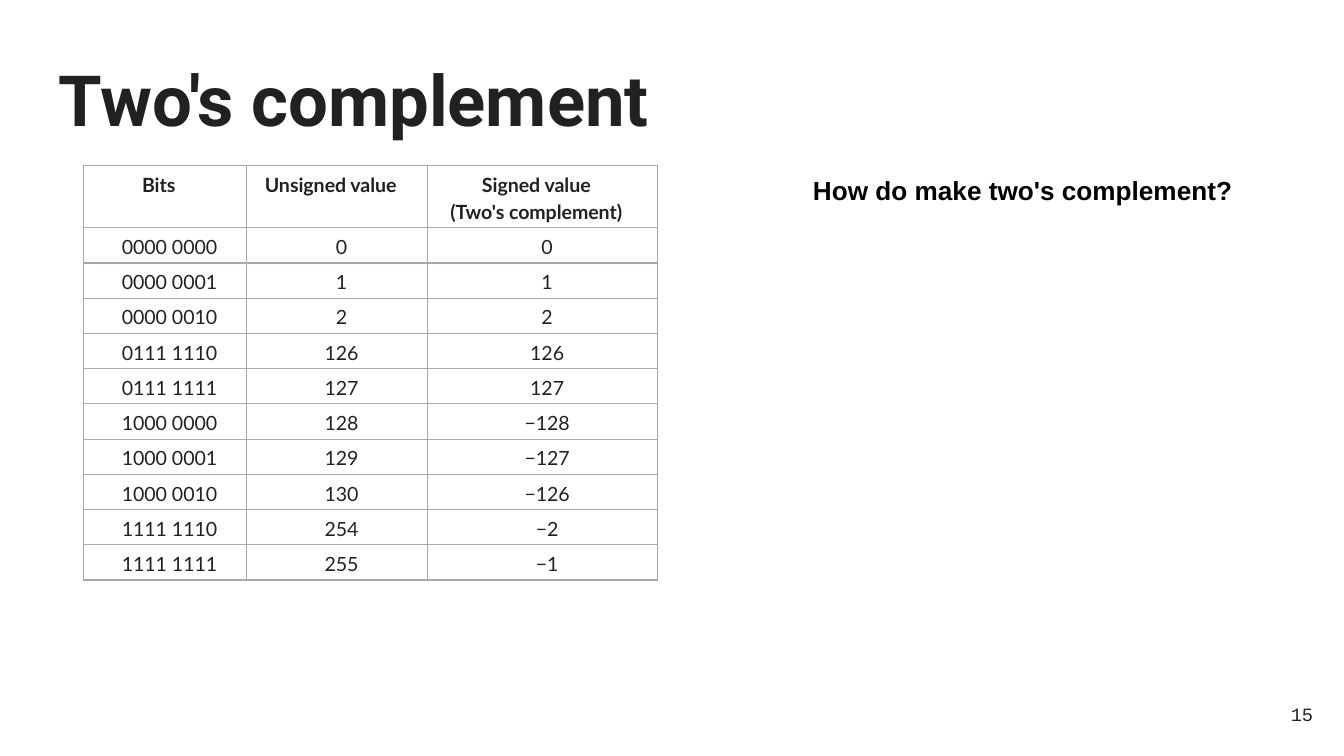
from dataclasses import dataclass

from lxml import etree
from pptx import Presentation
from pptx.dml.color import RGBColor
from pptx.enum.text import MSO_ANCHOR, PP_ALIGN
from pptx.oxml.ns import qn
from pptx.util import Pt

LEFT, CENTER, RIGHT = PP_ALIGN.LEFT, PP_ALIGN.CENTER, PP_ALIGN.RIGHT
TOP, MIDDLE = MSO_ANCHOR.TOP, MSO_ANCHOR.MIDDLE


@dataclass(frozen=True)
class Style:
    """Font settings of a piece of text."""
    name: str
    size: float
    color: str
    bold: bool = False


@dataclass(frozen=True)
class Theme:
    """Type styles and line settings of the slide."""
    title: Style = Style("Roboto", 37.8, "212121", True)
    header: Style = Style("Lato", 10.5, "202122", True)
    body: Style = Style("Lato", 10.5, "202122")
    question: Style = Style("Arial", 14, "000000", True)
    number: Style = Style("Courier New", 10, "212121")
    border: str = "A2A9B1"
    border_width: float = 0.75


@dataclass(frozen=True)
class Label:
    """A text box with its place in points."""
    text: str
    box: tuple[float, float, float, float]
    style: Style
    align: int = LEFT
    anchor: int = TOP


THEME = Theme()
LABELS = [
    Label("Two's complement", (24.5, 23, 671, 63.4), THEME.title),
    Label("How do make two's complement?", (428.4, 86.4, 252.7, 31.7), THEME.question),
    Label("15", (667.4, 367.2, 43.2, 31), THEME.number, RIGHT, MIDDLE),
]
HEADERS = ("Bits", "Unsigned value", "Signed value\n(Two's complement)")
VALUES = (0, 1, 2, 126, 127, 128, 129, 130, 254, 255)
TABLE_LEFT, TABLE_TOP = 44.8, 88.6
COLUMNS = (87.1, 97.2, 123.1)
HEADER_HEIGHT, ROW_HEIGHT = 28.8, 15.84


def table_row(value: int) -> tuple[str, str, str]:
    """Return the bits, unsigned and signed readings of a byte."""
    bits = f"{value:08b}"
    signed = value if value < 128 else value - 256
    return f"{bits[:4]} {bits[4:]}", str(value), str(signed).replace("-", "−")


def write(p, text: str, style: Style, align: int) -> None:
    """Fill a paragraph with styled text."""
    p.text = text
    p.alignment = align
    font = {"name": style.name, "size": Pt(style.size), "bold": style.bold}
    for r in p.runs:
        for key, value in font.items():
            setattr(r.font, key, value)
        r.font.color.rgb = RGBColor.from_string(style.color)


def draw_label(s, label: Label) -> None:
    """Draw a text box."""
    tf = s.shapes.add_textbox(*map(Pt, label.box)).text_frame
    frame = {"word_wrap": True, "vertical_anchor": label.anchor}
    frame |= {f"margin_{side}": Pt(7.2) for side in ("left", "top", "right", "bottom")}
    for key, value in frame.items():
        setattr(tf, key, value)
    write(tf.paragraphs[0], label.text, label.style, label.align)


def draw_borders(cell) -> None:
    """Give a cell a thin line on all four sides."""
    tc_pr = cell._tc.get_or_add_tcPr()
    for i, side in enumerate(("lnL", "lnR", "lnT", "lnB")):
        ln = etree.Element(qn(f"a:{side}"), w=str(Pt(THEME.border_width)))
        fill = etree.SubElement(ln, qn("a:solidFill"))
        etree.SubElement(fill, qn("a:srgbClr"), val=THEME.border)
        tc_pr.insert(i, ln)


def draw_cell(cell, text: str, style: Style, right: float) -> None:
    """Fill one table cell with centred text."""
    margins = {"left": 4.3, "top": 2.2, "right": right, "bottom": 2.2}
    for side, value in margins.items():
        setattr(cell, f"margin_{side}", Pt(value))
    cell.fill.background()
    draw_borders(cell)
    p = cell.text_frame.paragraphs[0]
    write(p, text, style, CENTER)
    for key, value in {"line_spacing": 1.15, "space_after": Pt(5)}.items():
        setattr(p, key, value)
    p_pr = p._p.get_or_add_pPr()
    p_pr.set("marL", str(Pt(5)))
    p_pr.set("indent", "0")


def draw_table(s) -> None:
    """Draw the table of bit patterns and their values."""
    rows = [HEADERS, *map(table_row, VALUES)]
    height = HEADER_HEIGHT + ROW_HEIGHT * len(VALUES)
    box = (TABLE_LEFT, TABLE_TOP, sum(COLUMNS), height)
    table = s.shapes.add_table(len(rows), len(COLUMNS), *map(Pt, box)).table
    table.first_row = table.horz_banding = False
    for column, width in zip(table.columns, COLUMNS):
        column.width = Pt(width)
    for i, texts in enumerate(rows):
        table.rows[i].height = Pt(ROW_HEIGHT if i else HEADER_HEIGHT)
        style, right = (THEME.body, 4.3) if i else (THEME.header, 15.8)
        for j, text in enumerate(texts):
            draw_cell(table.cell(i, j), text, style, right)


def main() -> None:
    """Build the slide and save it."""
    prs = Presentation()
    prs.slide_width, prs.slide_height = Pt(720), Pt(405)
    s = prs.slides.add_slide(prs.slide_layouts[6])
    draw_table(s)
    for label in LABELS:
        draw_label(s, label)
    prs.save("out.pptx")


if __name__ == "__main__":
    main()
